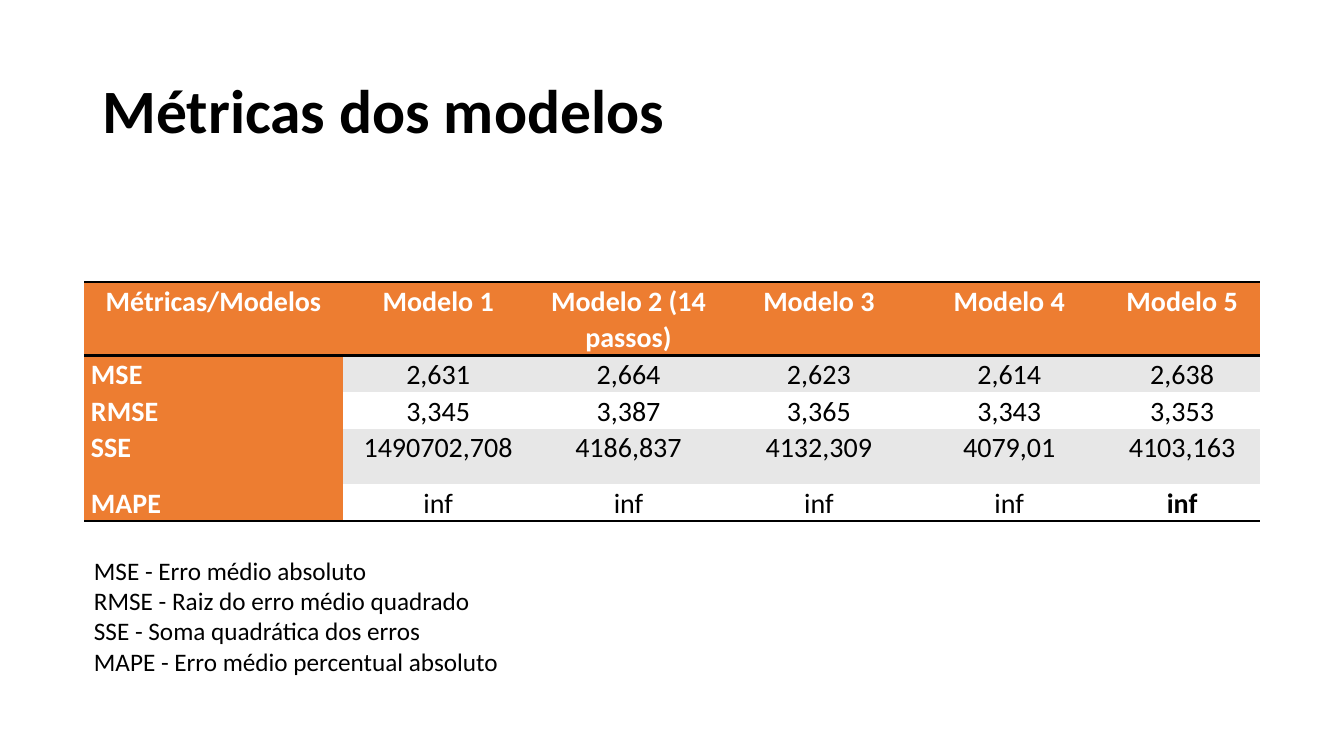
from lxml import etree
from pptx import Presentation
from pptx.dml.color import RGBColor
from pptx.enum import text as tx
from pptx.oxml import ns
from pptx.util import Pt

TITLE = "Métricas dos modelos"
ROWS = [
    ("Métricas/Modelos", "Modelo 1", "Modelo 2 (14 passos)", "Modelo 3", "Modelo 4", "Modelo 5"),
    ("MSE", "2,631", "2,664", "2,623", "2,614", "2,638"),
    ("RMSE", "3,345", "3,387", "3,365", "3,343", "3,353"),
    ("SSE", "1490702,708", "4186,837", "4132,309", "4079,01", "4103,163"),
    ("MAPE", "inf", "inf", "inf", "inf", "inf"),
]
NOTES = [
    "MSE - Erro médio absoluto",
    "RMSE - Raiz do erro médio quadrado",
    "SSE - Soma quadrática dos erros",
    "MAPE - Erro médio percentual absoluto",
]
COLORS = {"head": "ED7D31", "band": "E7E7E7", "white": "FFFFFF", "black": "000000"}
FONT = "Calibri"
WIDTHS = [185, 136, 136, 136, 136, 111]
HEIGHTS = [39.6, 19.4, 19.4, 39.6, 19.4]
LEFT, WIDE = 60, sum(WIDTHS)
PLAIN = "{2D5ABB26-0587-4C30-8999-92F81FD0307C}"  # table style with no grid


def paint(para, size, color="black", bold=False):
    """Format every run of a paragraph."""
    for run in para.runs:
        font = run.font
        font.name, font.size, font.bold = FONT, Pt(size), bold
        font.color.rgb = RGBColor.from_string(COLORS[color])


def rule(cell, side):
    """Draw a black line along one side of a cell ("T" or "B")."""
    line = etree.Element(ns.qn(f"a:ln{side}"), w=str(Pt(2)))
    fill = etree.SubElement(line, ns.qn("a:solidFill"))
    etree.SubElement(fill, ns.qn("a:srgbClr"), val=COLORS["black"])
    props = cell._tc.get_or_add_tcPr()
    props.insert(len(props.findall(ns.qn("a:lnT"))), line)


def fill_cell(cell, word, row, col):
    """Write and style one table cell by its place in the grid."""
    last = len(ROWS) - 1
    label = row == 0 or col == 0
    cell.margin_left = cell.margin_right = Pt(5)
    cell.margin_top = cell.margin_bottom = 0
    cell.text_frame.text = word
    para = cell.text_frame.paragraphs[0]
    para.alignment = tx.PP_ALIGN.JUSTIFY if row and not col else tx.PP_ALIGN.CENTER
    para.line_spacing, para.space_after = 1.07, Pt(8)
    corner = row == last and col == len(WIDTHS) - 1
    paint(para, 20, "white" if label else "black", label or corner)
    shade = "head" if label else "band" if row % 2 else "white"
    cell.fill.solid()
    cell.fill.fore_color.rgb = RGBColor.from_string(COLORS[shade])
    if row == 0:
        rule(cell, "T")
    if row in (0, last):
        rule(cell, "B")


def add_title(slide):
    """Place the title."""
    title = slide.shapes.title
    title.left, title.top, title.width, title.height = Pt(66), Pt(29), Pt(828), Pt(104)
    frame = title.text_frame
    frame.text = TITLE
    frame.auto_size = tx.MSO_AUTO_SIZE.NONE
    frame.vertical_anchor = tx.MSO_ANCHOR.MIDDLE
    para = frame.paragraphs[0]
    para.alignment, para.line_spacing = tx.PP_ALIGN.LEFT, 0.9
    paint(para, 44, bold=True)


def add_grid(slide):
    """Build the table of metrics."""
    table = slide.shapes.add_table(len(ROWS), len(WIDTHS), Pt(LEFT), Pt(201.5),
                                   Pt(WIDE), Pt(sum(HEIGHTS))).table
    table.first_row = table.horz_banding = False
    table._tbl.tblPr.find(ns.qn("a:tableStyleId")).text = PLAIN
    for col, width in zip(table.columns, WIDTHS):
        col.width = Pt(width)
    for row, height in zip(table.rows, HEIGHTS):
        row.height = Pt(height)
    for r, words in enumerate(ROWS):
        for c, word in enumerate(words):
            fill_cell(table.cell(r, c), word, r, c)


def add_notes(slide):
    """Explain the metric names below the table."""
    frame = slide.shapes.add_textbox(Pt(LEFT), Pt(393), Pt(WIDE), Pt(94.5)).text_frame
    frame.word_wrap = True
    frame.auto_size = tx.MSO_AUTO_SIZE.SHAPE_TO_FIT_TEXT
    frame.text = "\n".join(NOTES)
    for para in frame.paragraphs:
        paint(para, 18)


deck = Presentation()
deck.slide_width, deck.slide_height = Pt(960), Pt(540)
page = deck.slides.add_slide(deck.slide_layouts[5])
add_title(page)
add_grid(page)
add_notes(page)
deck.save("out.pptx")
